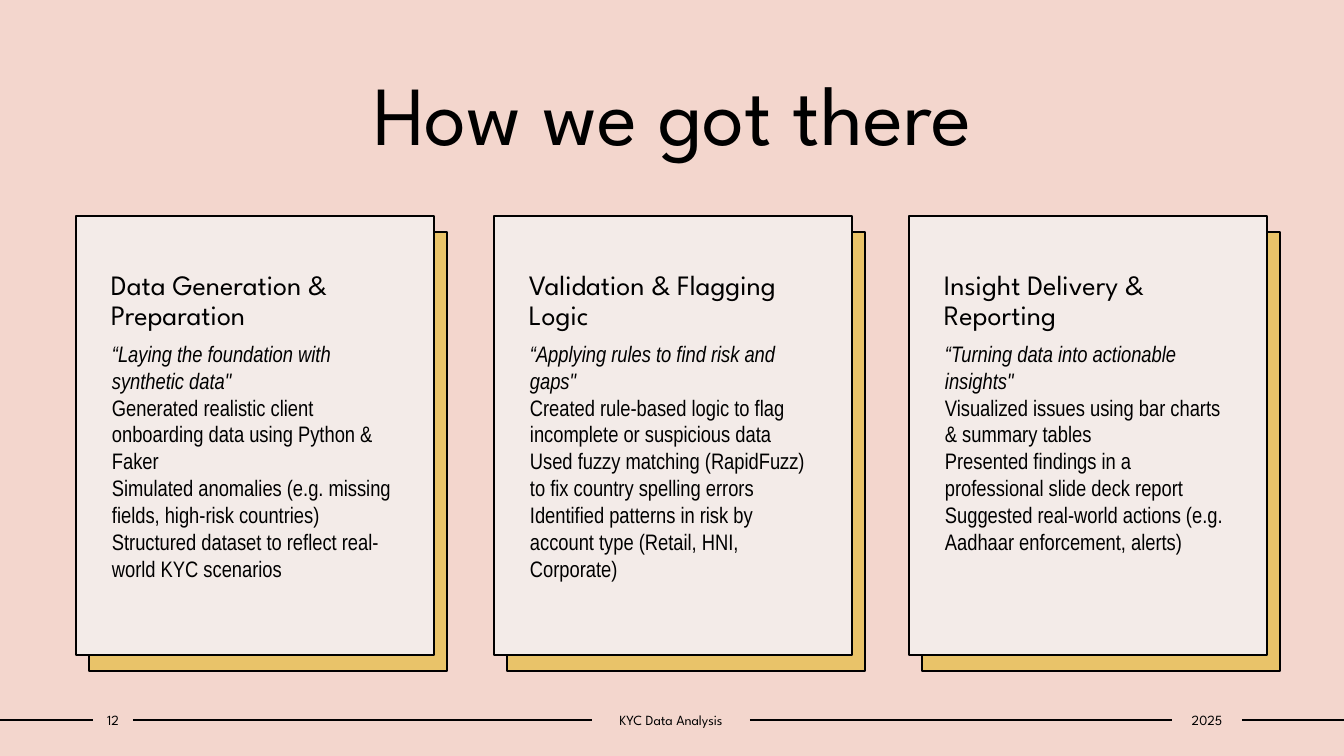
from pptx import Presentation
from pptx.dml.color import RGBColor
from pptx.enum.shapes import MSO_CONNECTOR as Connector, MSO_SHAPE as Shape
from pptx.enum.text import MSO_ANCHOR as Anchor, PP_ALIGN as Align
from pptx.oxml.ns import qn
from pptx.util import Pt
from lxml.etree import SubElement

PX = 914400 / 100.8
INK, PINK, CREAM, GOLD = "000000", "F3D6CD", "F3EBE8", "E9C369"
HEAD_FONT, BODY_FONT = "League Spartan", "Arial Narrow"


def px(*lengths):
    return [round(length * PX) for length in lengths]


def write(shape, lines, font, size, align=Align.LEFT, anchor=Anchor.TOP,
          insets=(10, 5, 10, 5), **para_format):
    frame = shape.text_frame
    left, top, right, bottom = px(*insets)
    settings = dict(word_wrap=True, vertical_anchor=anchor, margin_left=left,
                    margin_top=top, margin_right=right, margin_bottom=bottom)
    for name, value in settings.items():
        setattr(frame, name, value)
    for index, line in enumerate(lines):
        para = frame.paragraphs[0] if index == 0 else frame.add_paragraph()
        for name, value in dict(alignment=align, **para_format).items():
            setattr(para, name, value)
        span = para.add_run()
        span.text = line
        # A line that opens with a quotation mark is a motto
        for name, value in dict(name=font, size=Pt(size),
                                italic=line.startswith("“")).items():
            setattr(span.font, name, value)
        span.font.color.rgb = RGBColor.from_string(INK)


deck = Presentation()
deck.slide_width, deck.slide_height = px(1344, 756)
page = deck.slides.add_slide(deck.slide_layouts[6])
page.background.fill.solid()
page.background.fill.fore_color.rgb = RGBColor.from_string(PINK)

# Title
title = page.shapes.add_textbox(*px(126, 56, 1093, 112))
write(title, ["How we got there"], HEAD_FONT, 60, Align.CENTER, Anchor.MIDDLE)

# Cards: left edge, heading, lines
cards = [
    (76, "Data Generation & Preparation", [
        "“Laying the foundation with synthetic data\"",
        "Generated realistic client onboarding data using Python & Faker",
        "Simulated anomalies (e.g. missing fields, high-risk countries)",
        "Structured dataset to reflect real-world KYC scenarios"]),
    (494, "Validation & Flagging Logic", [
        "“Applying rules to find risk and gaps\"",
        "Created rule-based logic to flag incomplete or suspicious data",
        "Used fuzzy matching (RapidFuzz) to fix country spelling errors",
        "Identified patterns in risk by account type (Retail, HNI, Corporate)"]),
    (909, "Insight Delivery & Reporting", [
        "“Turning data into actionable insights\"",
        "Visualized issues using bar charts & summary tables",
        "Presented findings in a professional slide deck report",
        "Suggested real-world actions (e.g. Aadhaar enforcement, alerts)"]),
]
for left, heading, lines in cards:
    # Gold backing first, cream face on top of it
    for x, y, color in [(left + 13, 232, GOLD), (left, 216, CREAM)]:
        panel = page.shapes.add_shape(Shape.RECTANGLE, *px(x, y, 358, 439))
        panel.shadow.inherit = False
        panel.fill.solid()
        panel.fill.fore_color.rgb = RGBColor.from_string(color)
        panel.line.color.rgb = RGBColor.from_string(INK)
        panel.line.width = Pt(2)
    write(panel, [heading], HEAD_FONT, 20, insets=(35, 55, 10, 5),
          line_spacing=0.9, space_before=Pt(10))
    body = page.shapes.add_textbox(*px(left + 26, 335, 302, 296))
    write(body, lines, BODY_FONT, 16)

# Footer texts
FOOTER_TOP, FOOTER_HEIGHT = 706, 28
footer_boxes = []
for left, width, label in [(93, 40, "12"), (592, 158, "KYC Data Analysis"),
                           (1172, 70, "2025")]:
    box = page.shapes.add_textbox(*px(left, FOOTER_TOP, width, FOOTER_HEIGHT))
    write(box, [label], HEAD_FONT, 10, Align.CENTER, Anchor.MIDDLE, (0, 5, 0, 5))
    footer_boxes.append(box)

# Footer rules run from edge to edge between the texts
rule_y = px(FOOTER_TOP + FOOTER_HEIGHT / 2)[0]
for before, after in zip([None] + footer_boxes, footer_boxes + [None]):
    rule = page.shapes.add_connector(Connector.STRAIGHT, 0, rule_y,
                                     deck.slide_width, rule_y)
    if before is not None:
        rule.begin_connect(before, 3)
    if after is not None:
        rule.end_connect(after, 1)
    rule.line.color.rgb = RGBColor.from_string(INK)
    rule.line.width = Pt(1)
    SubElement(rule._element.spPr, qn("a:effectLst"))

deck.save("out.pptx")
